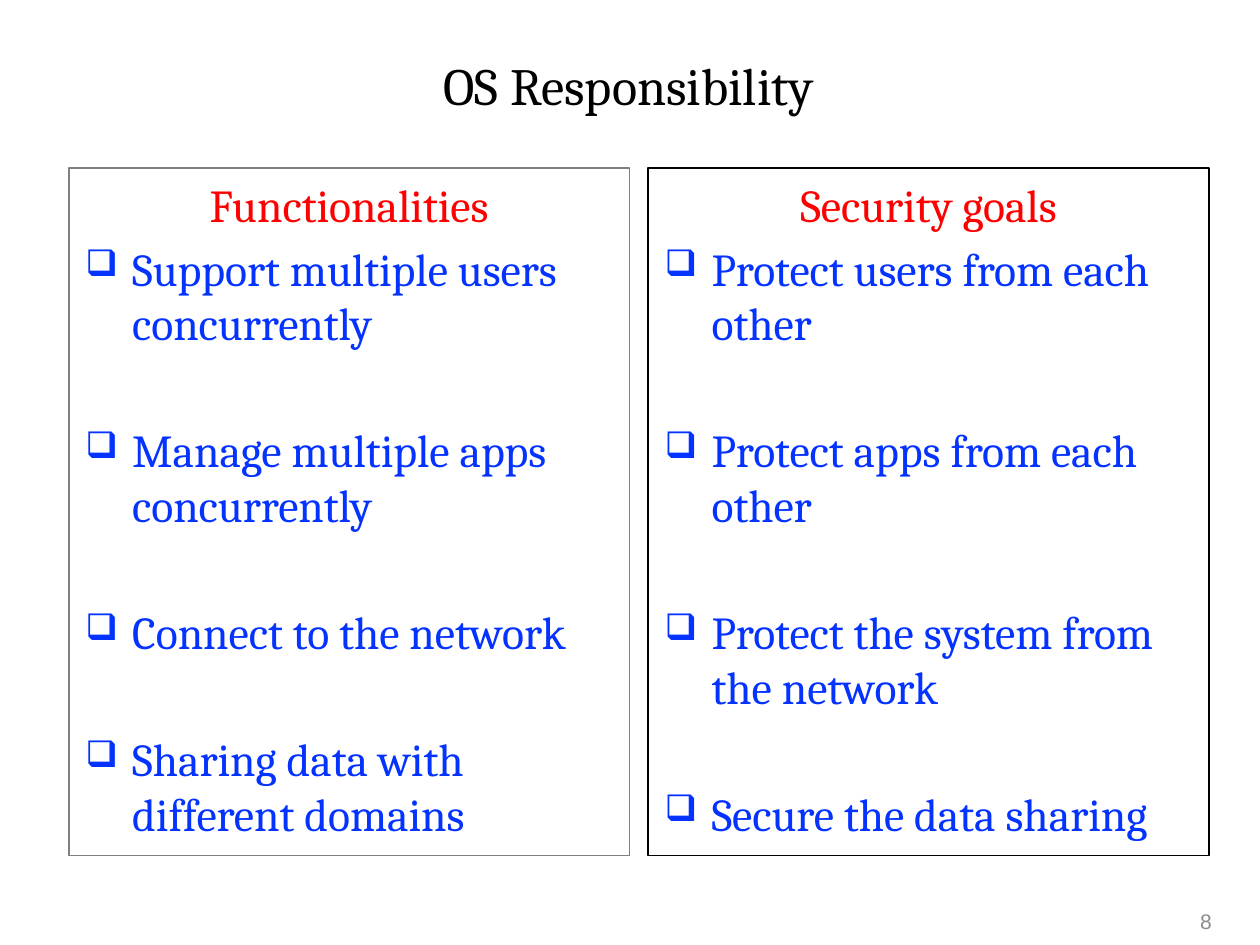
"""Build a slide that pairs what an OS does with its security goals."""
from lxml import etree
from pptx import Presentation
from pptx.dml.color import RGBColor
from pptx.enum import shapes, text
from pptx.oxml import ns
from pptx.util import Cm, Pt

INK = {"title": "000000", "head": "FF0000", "item": "0432FF", "page": "8C8C8C"}
LISTS = [
    ("Functionalities", "808080", [
        "Support multiple users concurrently",
        "Manage multiple apps concurrently",
        "Connect to the network",
        "Sharing data with different domains"]),
    ("Security goals", "000000", [
        "Protect users from each other",
        "Protect apps from each other",
        "Protect the system from the network",
        "Secure the data sharing"]),
]


def write(para, words, ink, size=19.6, face="Cambria", align="LEFT", gap=0, mark=None):
    para.text = words
    para.alignment = getattr(text.PP_ALIGN, align)
    para.space_before = Pt(gap)
    if mark:
        props = para._p.get_or_add_pPr()
        props.set("marL", str(Cm(0.71)))
        props.set("indent", str(-Cm(0.71)))
        etree.SubElement(props, ns.qn("a:buSzPct")).set("val", "80000")
        etree.SubElement(props, ns.qn("a:buChar")).set("char", mark)
    font = para.runs[0].font
    font.name, font.size = face, Pt(size)
    font.color.rgb = RGBColor.from_string(INK[ink])


deck = Presentation()
deck.slide_width, deck.slide_height = Cm(19.05), Cm(14.28)
slide = deck.slides.add_slide(deck.slide_layouts[5])

title = slide.shapes.title
title.left, title.top, title.width, title.height = Cm(0.2), Cm(0.46), Cm(18.62), Cm(1.63)
frame = title.text_frame
frame.margin_left = frame.margin_right = frame.margin_top = frame.margin_bottom = 0
frame.vertical_anchor = text.MSO_ANCHOR.MIDDLE
frame.auto_size = text.MSO_AUTO_SIZE.NONE
write(frame.paragraphs[0], "OS Responsibility", "title", size=22.4, align="CENTER")

for col, (head, edge, items) in enumerate(LISTS):
    box = slide.shapes.add_shape(shapes.MSO_SHAPE.RECTANGLE,
                                 Cm(1.04 + 8.76 * col), Cm(2.54), Cm(8.48), Cm(10.39))
    box.shadow.inherit = False
    box.fill.background()
    box.line.color.rgb = RGBColor.from_string(edge)
    box.line.width = Pt(0.75)
    frame = box.text_frame
    frame.word_wrap = True
    frame.vertical_anchor = text.MSO_ANCHOR.TOP
    write(frame.paragraphs[0], head, "head", align="CENTER")
    for row, item in enumerate(items):
        write(frame.add_paragraph(), item, "item", gap=30.9 if row else 3.9, mark="❑")

page = slide.shapes.add_textbox(Cm(14.12), Cm(13.54), Cm(4.45), Cm(0.76))
page.text_frame.word_wrap = True
page.text_frame.vertical_anchor = text.MSO_ANCHOR.MIDDLE
write(page.text_frame.paragraphs[0], "8", "page", size=9, face="Arial", align="RIGHT")

deck.save("out.pptx")
